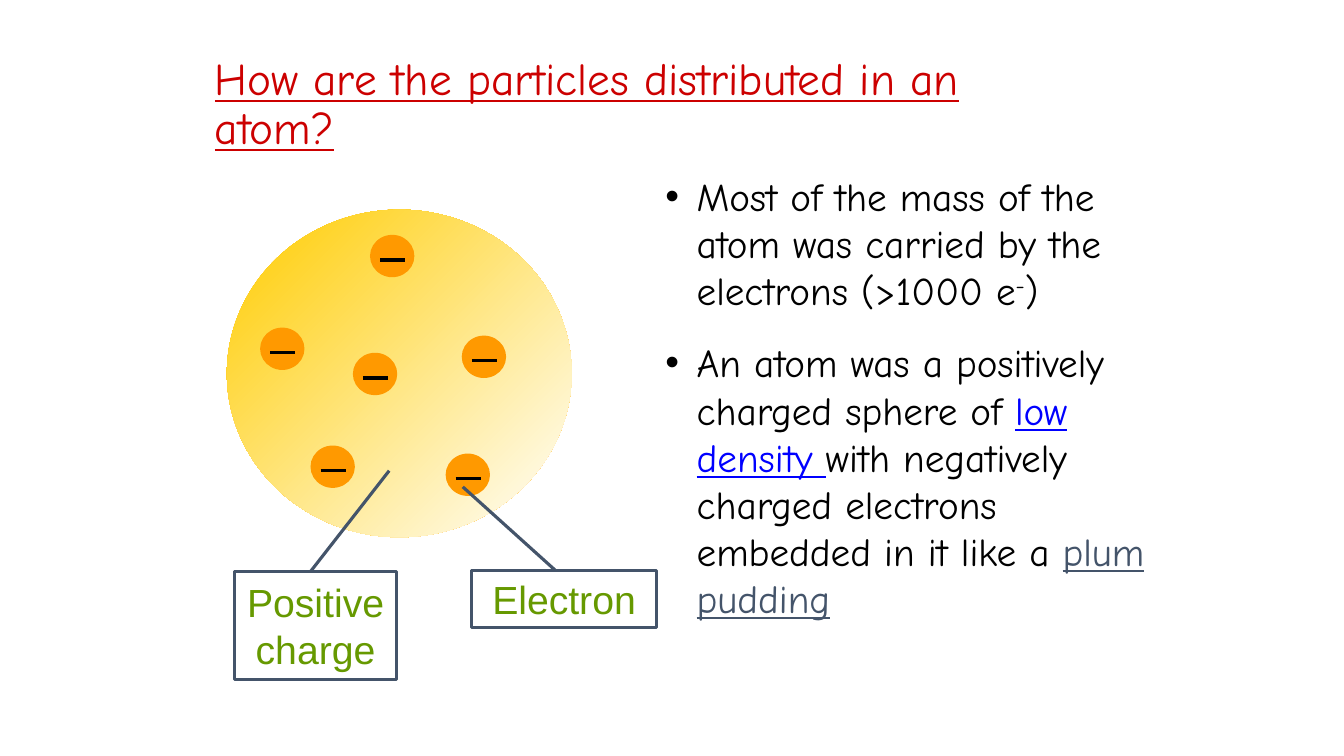
"""Build a slide on how particles are distributed in an atom."""
from pptx import Presentation
from pptx.dml.color import RGBColor
from pptx.enum.shapes import MSO_CONNECTOR as Link, MSO_SHAPE as Shape
from pptx.enum.text import MSO_ANCHOR as Anchor, MSO_AUTO_SIZE as Fit, PP_ALIGN as Align
from pptx.oxml.xmlchemy import OxmlElement
from pptx.util import Pt

PX = 9144
RED = RGBColor(0xCC, 0x00, 0x00)
GOLD = RGBColor(0xFF, 0xCC, 0x00)
ORANGE = RGBColor(0xFF, 0x99, 0x00)
GREEN = RGBColor(0x66, 0x99, 0x00)
BLUE = RGBColor(0x00, 0x00, 0xFF)
SLATE = RGBColor(0x44, 0x54, 0x6A)
BLACK = RGBColor(0x00, 0x00, 0x00)
WHITE = RGBColor(0xFF, 0xFF, 0xFF)


def add_form(kind, *box):
    form = slide.shapes.add_shape(kind, *(n * PX for n in box))
    form.shadow.inherit = False
    form.line.fill.background()
    return form


def add_line(color, *ends):
    line = slide.shapes.add_connector(Link.STRAIGHT, *(n * PX for n in ends))
    line.line.color.rgb = color
    line.line.width = Pt(2.25)
    line._element.spPr.append(OxmlElement("a:effectLst"))


deck = Presentation()
deck.slide_width, deck.slide_height = 1333 * PX, 750 * PX
slide = deck.slides.add_slide(deck.slide_layouts[1])
title, body = slide.placeholders
for holder, box in ((title, (203, 67, 886, 75)), (body, (650, 166, 500, 457))):
    holder.left, holder.top, holder.width, holder.height = (n * PX for n in box)
    holder.text_frame.auto_size = Fit.NONE

title.text_frame.text = "How are the particles distributed in an atom?"
title.text_frame.vertical_anchor = Anchor.MIDDLE
head = title.text_frame.paragraphs[0]
head.alignment = Align.LEFT
head.line_spacing = 0.9
head.font.name = "Comic Neue"
head.font.size = Pt(32.4)
head.font.color.rgb = RED
head.font.underline = True

points = (
    (("Most of the mass of the atom was carried by the electrons (>1000 e", BLACK),
     ("-", BLACK), (")", BLACK)),
    (("An atom was a positively charged sphere of ", BLACK), ("low density ", BLUE),
     ("with negatively charged electrons embedded in it like a ", BLACK),
     ("plum pudding", SLATE)),
)
frame = body.text_frame
for i, point in enumerate(points):
    para = frame.add_paragraph() if i else frame.paragraphs[0]
    para.space_before = Pt(18 * i)
    para.font.name = "Comic Neue"
    para.font.size = Pt(28)
    props = para._p.get_or_add_pPr()
    props.set("marL", str(31 * PX))
    props.set("indent", str(-31 * PX))
    for text, color in point:
        run = para.add_run()
        run.text = text
        run.font.color.rgb = color
        if color != BLACK:
            run.font.underline = True
        if text == "-":
            run._r.get_or_add_rPr().set("baseline", "30000")

atom = add_form(Shape.OVAL, 225, 208, 342, 325)
atom.fill.gradient()
atom.fill.gradient_angle = 315
for stop, color in zip(atom.fill.gradient_stops, (GOLD, WHITE)):
    stop.color.rgb = color

for x, y in ((258, 325), (350, 350), (458, 333), (442, 450), (308, 442), (367, 233)):
    dot = add_form(Shape.OVAL, x, y, 44, 42)
    dot.fill.solid()
    dot.fill.fore_color.rgb = ORANGE
    add_line(BLACK, x + 10, y + 25, x + 35, y + 25)

labels = (
    ("Positive charge", (233, 567, 160, 107), (386, 467, 308, 567)),
    ("Electron", (468, 566, 183, 57), (459, 483, 551, 566)),
)
for text, box, ends in labels:
    add_line(SLATE, *ends)
    label = add_form(Shape.RECTANGLE, *box)
    label.fill.solid()
    label.fill.fore_color.rgb = WHITE
    label.line.color.rgb = SLATE
    label.line.width = Pt(2.25)
    label.text_frame.word_wrap = True
    label.text_frame.text = text
    para = label.text_frame.paragraphs[0]
    para.alignment = Align.CENTER
    para.font.name = "Arial"
    para.font.size = Pt(28)
    para.font.color.rgb = GREEN

deck.save("out.pptx")
